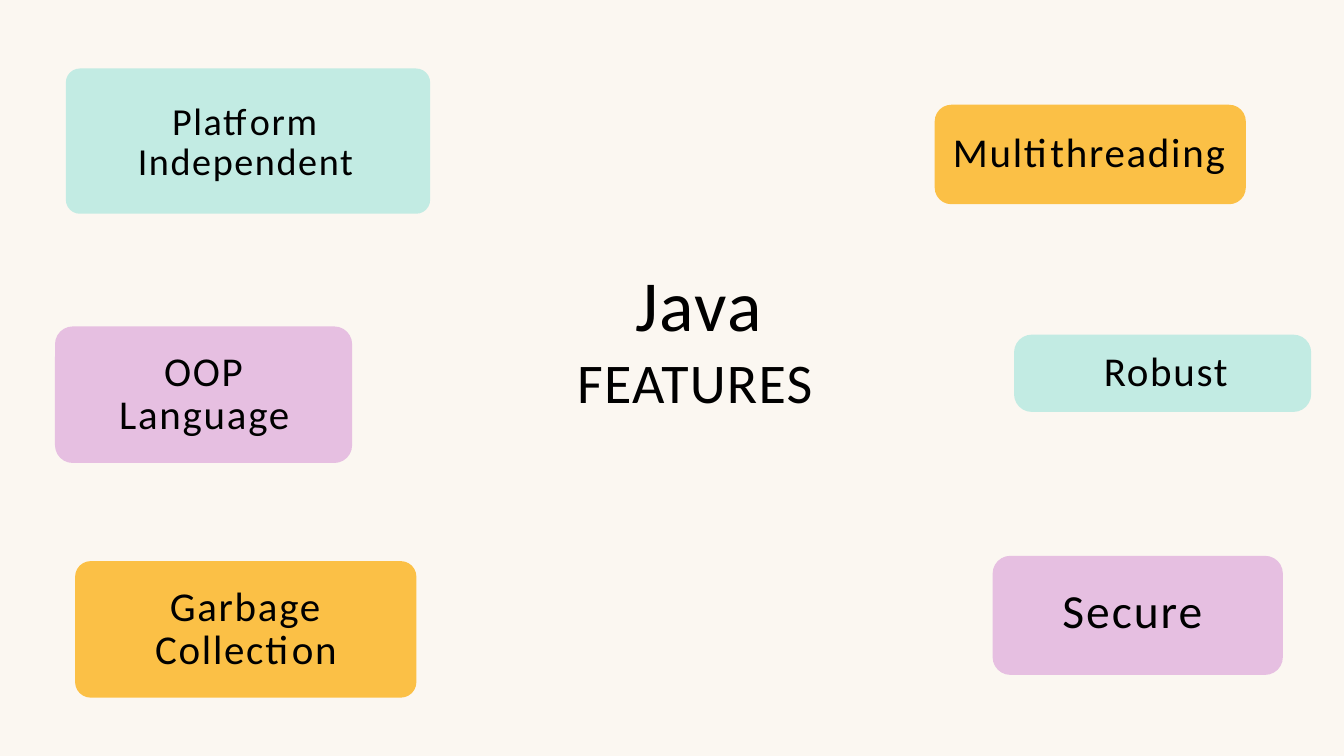
from dataclasses import dataclass

from pptx import Presentation
from pptx.dml.color import RGBColor
from pptx.enum.shapes import MSO_SHAPE
from pptx.enum.text import MSO_ANCHOR, MSO_AUTO_SIZE, PP_ALIGN
from pptx.util import Cm, Pt

CREAM = RGBColor(0xFB, 0xF7, 0xF1)
MINT = RGBColor(0xC2, 0xEB, 0xE3)
LILAC = RGBColor(0xE6, 0xBF, 0xE1)
AMBER = RGBColor(0xFB, 0xC0, 0x46)
BLACK = RGBColor(0, 0, 0)
FONT = "Calibri"


@dataclass(frozen=True)
class Box:
    left: float
    top: float
    width: float
    height: float

    def lengths(self) -> tuple:
        return Cm(self.left), Cm(self.top), Cm(self.width), Cm(self.height)


@dataclass(frozen=True)
class Feature:
    text: str
    fill: RGBColor
    card: Box
    radius: float
    label: Box
    size: float = 43.9


FEATURES = [
    Feature("Platform Independent", MINT, Box(2.49, 2.59, 13.77, 5.49), 0.53,
            Box(2.84, 3.89, 12.88, 3.07), 40.9),
    Feature("OOP Language", LILAC, Box(2.08, 12.34, 11.23, 5.16), 0.67,
            Box(3.43, 13.28, 8.59, 3.33)),
    Feature("Garbage Collection", AMBER, Box(2.84, 21.21, 12.9, 5.16), 0.59,
            Box(4.37, 22.17, 9.86, 3.33)),
    Feature("Multithreading", AMBER, Box(35.33, 3.96, 11.76, 3.76), 0.63,
            Box(35.97, 5.03, 10.39, 1.7)),
    Feature("Robust", MINT, Box(38.33, 12.65, 11.23, 2.92), 0.67,
            Box(39.24, 13.28, 9.65, 1.7)),
    Feature("Secure", LILAC, Box(37.52, 21.01, 10.97, 4.5), 0.67,
            Box(38.51, 22.25, 8.59, 1.96), 50.9),
]


def write(sp, text: str, *, size: float, leading: float, tracking: float) -> None:
    tf = sp.text_frame
    tf.word_wrap = True
    tf.auto_size = MSO_AUTO_SIZE.SHAPE_TO_FIT_TEXT
    tf.vertical_anchor = MSO_ANCHOR.TOP
    tf.margin_left = tf.margin_top = tf.margin_right = tf.margin_bottom = 0
    p = tf.paragraphs[0]
    p.alignment = PP_ALIGN.CENTER
    p.line_spacing = Pt(round(size * leading, 1))
    p.space_before = Pt(0)
    r = p.add_run()
    r.text = text
    r.font.name = FONT
    r.font.size = Pt(size)
    r.font.color.rgb = BLACK
    r._r.get_or_add_rPr().set("spc", str(round(size * tracking * 100)))


def fill_heading(sp, text: str, box: Box, size: float) -> None:
    sp.left, sp.top, sp.width, sp.height = box.lengths()
    write(sp, text, size=size, leading=0.99, tracking=0.022)


def add_feature(s, feature: Feature) -> None:
    card = feature.card
    sp = s.shapes.add_shape(MSO_SHAPE.ROUNDED_RECTANGLE, *card.lengths())
    sp.adjustments[0] = feature.radius / min(card.width, card.height)
    sp.shadow.inherit = False
    sp.fill.solid()
    sp.fill.fore_color.rgb = feature.fill
    sp.line.fill.background()
    label = s.shapes.add_textbox(*feature.label.lengths())
    write(label, feature.text, size=feature.size, leading=1.05, tracking=0.0416)


def main() -> None:
    prs = Presentation()
    prs.slide_width, prs.slide_height = Cm(50.8), Cm(28.575)
    s = prs.slides.add_slide(prs.slide_layouts[0])
    s.background.fill.solid()
    s.background.fill.fore_color.rgb = CREAM
    fill_heading(s.shapes.title, "Java", Box(18.36, 10.39, 16.08, 2.84), 77)
    fill_heading(s.placeholders[1], "FEATURES", Box(19.51, 13.59, 13.51, 2.24), 60)
    for feature in FEATURES:
        add_feature(s, feature)
    prs.save("out.pptx")


if __name__ == "__main__":
    main()
